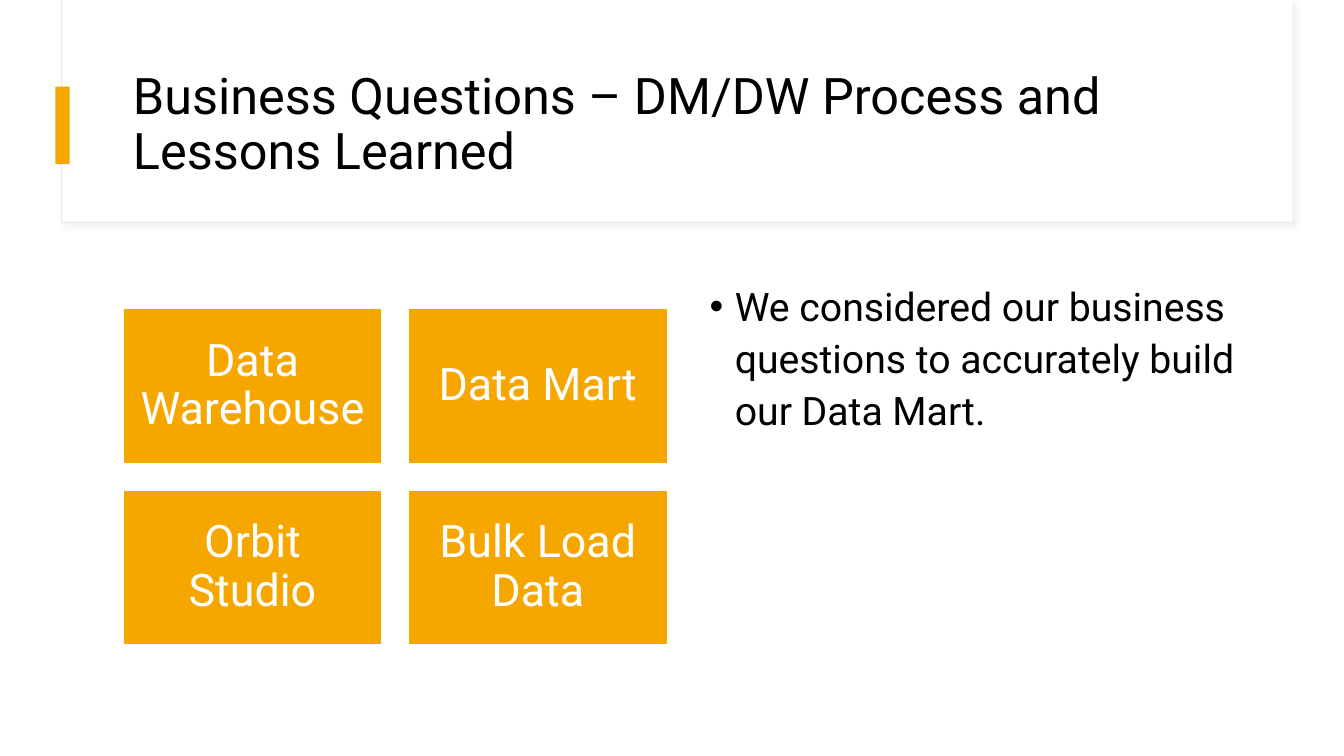
"""Build the slide on the data mart process and lessons learned."""
from lxml.etree import SubElement as Sub
from pptx import Presentation
from pptx.dml.color import RGBColor as RGB
from pptx.enum.shapes import MSO_SHAPE as SHAPE
from pptx.enum.text import MSO_ANCHOR as ANCHOR, PP_ALIGN as ALIGN
from pptx.oxml.ns import qn
from pptx.util import Pt

TITLE = "Business Questions – DM/DW Process and Lessons Learned"
TOPICS = ["Data Warehouse", "Data Mart", "Orbit Studio", "Bulk Load Data"]
POINT = "We considered our business questions to accurately build our Data Mart."
FONT = "Roboto"
COLORS = {"gold": "F5A700", "white": "FFFFFF", "black": "000000",
          "edge": "E9E9E9", "shade": "D9D9D9"}

PX = 9144
LEFT, TOP = 122, 306
WIDE, HIGH = 257, 154
STEP_X, STEP_Y = 283, 180
COLS = 2


def emu(*vals):
    return [v * PX for v in vals]


def add_box(slide, area, fill, edge=None, weight=1):
    box = slide.shapes.add_shape(SHAPE.RECTANGLE, *emu(*area))
    box.shadow.inherit = False
    box.fill.solid()
    box.fill.fore_color.rgb = RGB.from_string(COLORS[fill])
    if edge:
        box.line.color.rgb = RGB.from_string(COLORS[edge])
        box.line.width = Pt(weight)
    else:
        box.line.fill.background()
    return box


def add_shade(box):
    glow = Sub(box._element.spPr.find(qn("a:effectLst")), qn("a:outerShdw"),
               blurRad=str(Pt(4)), dist=str(Pt(3)), dir="2700000",
               algn="tl", rotWithShape="0")
    tint = Sub(glow, qn("a:srgbClr"), val=COLORS["shade"])
    Sub(tint, qn("a:alpha"), val="30000")


def set_text(shape, text, size, color, anchor, align, space):
    frame = shape.text_frame
    frame.text = text
    frame.word_wrap = True
    frame.vertical_anchor = anchor
    para = frame.paragraphs[0]
    para.alignment = align
    para.line_spacing = space
    font = para.runs[0].font
    font.name = FONT
    font.size = Pt(size)
    font.color.rgb = RGB.from_string(COLORS[color])
    return para


def add_topic(slide, i, name):
    row, col = divmod(i, COLS)
    area = LEFT + col * STEP_X, TOP + row * STEP_Y, WIDE, HIGH
    box = add_box(slide, area, "gold", "white")
    set_text(box, name, 32, "white", ANCHOR.MIDDLE, ALIGN.CENTER, 0.9)
    frame = box.text_frame
    frame.margin_left = frame.margin_right = 13 * PX
    frame.margin_top = frame.margin_bottom = 13 * PX


def add_point(slide):
    body = slide.shapes.add_textbox(*emu(694, 271, 540, 404))
    para = set_text(body, POINT, 28, "black", ANCHOR.TOP, ALIGN.LEFT, 1.1)
    para.space_before = Pt(10)
    props = para._p.get_or_add_pPr()
    props.set("marL", str(25 * PX))
    props.set("indent", str(-25 * PX))
    Sub(props, qn("a:buFont"), typeface="Arial")
    Sub(props, qn("a:buChar"), char="•")


def main():
    deck = Presentation()
    deck.slide_width, deck.slide_height = emu(1333, 750)
    slide = deck.slides.add_slide(deck.slide_layouts[6])
    add_shade(add_box(slide, (61, 0, 1221, 221), "white", "edge", 0.75))
    add_box(slide, (62, 0, 1220, 220), "white")
    add_box(slide, (55, 86, 14, 77), "gold")
    head = slide.shapes.add_textbox(*emu(122, 60, 1112, 129))
    set_text(head, TITLE, 36, "black", ANCHOR.MIDDLE, ALIGN.LEFT, 0.9)
    for i, name in enumerate(TOPICS):
        add_topic(slide, i, name)
    add_point(slide)
    deck.save("out.pptx")


if __name__ == "__main__":
    main()
